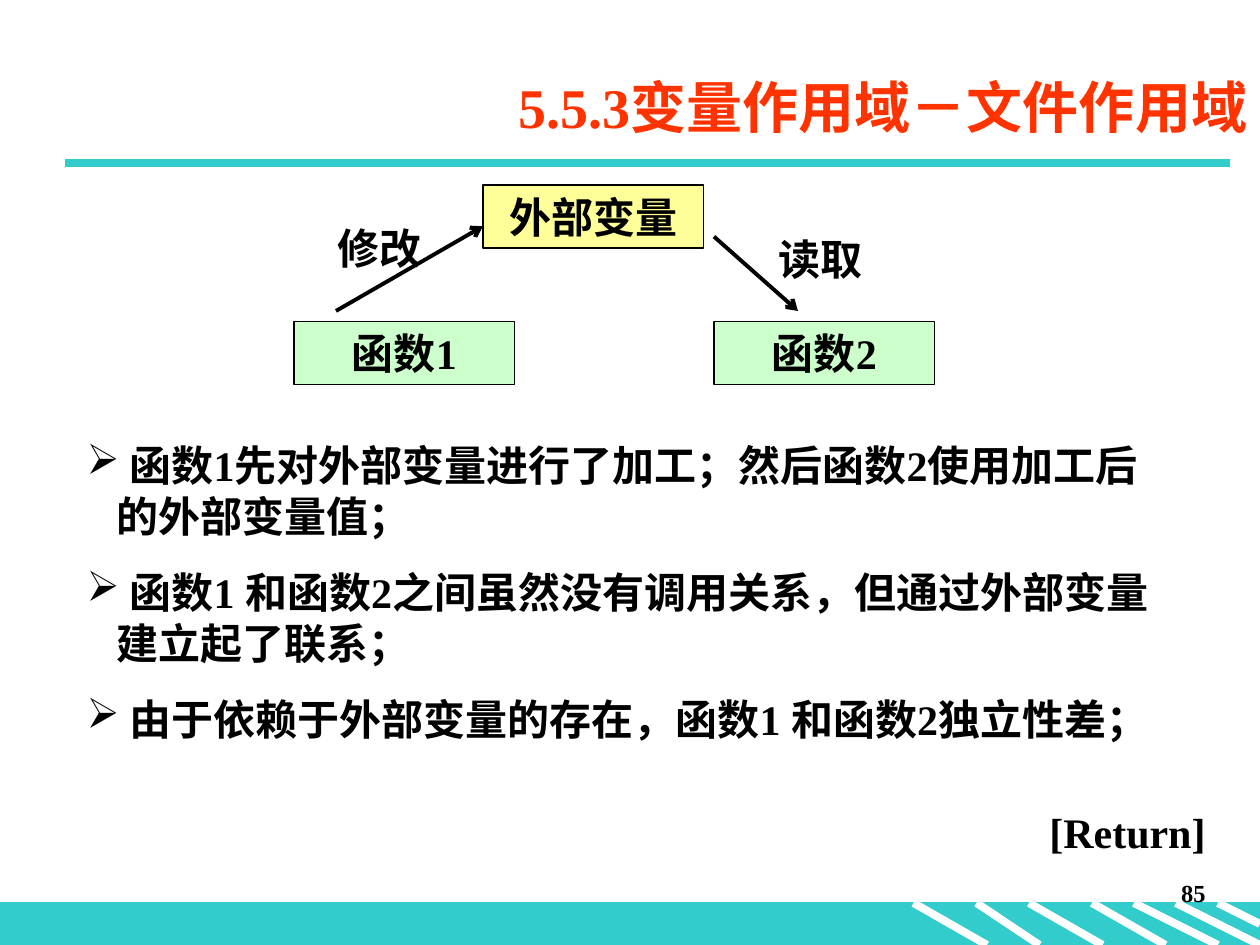
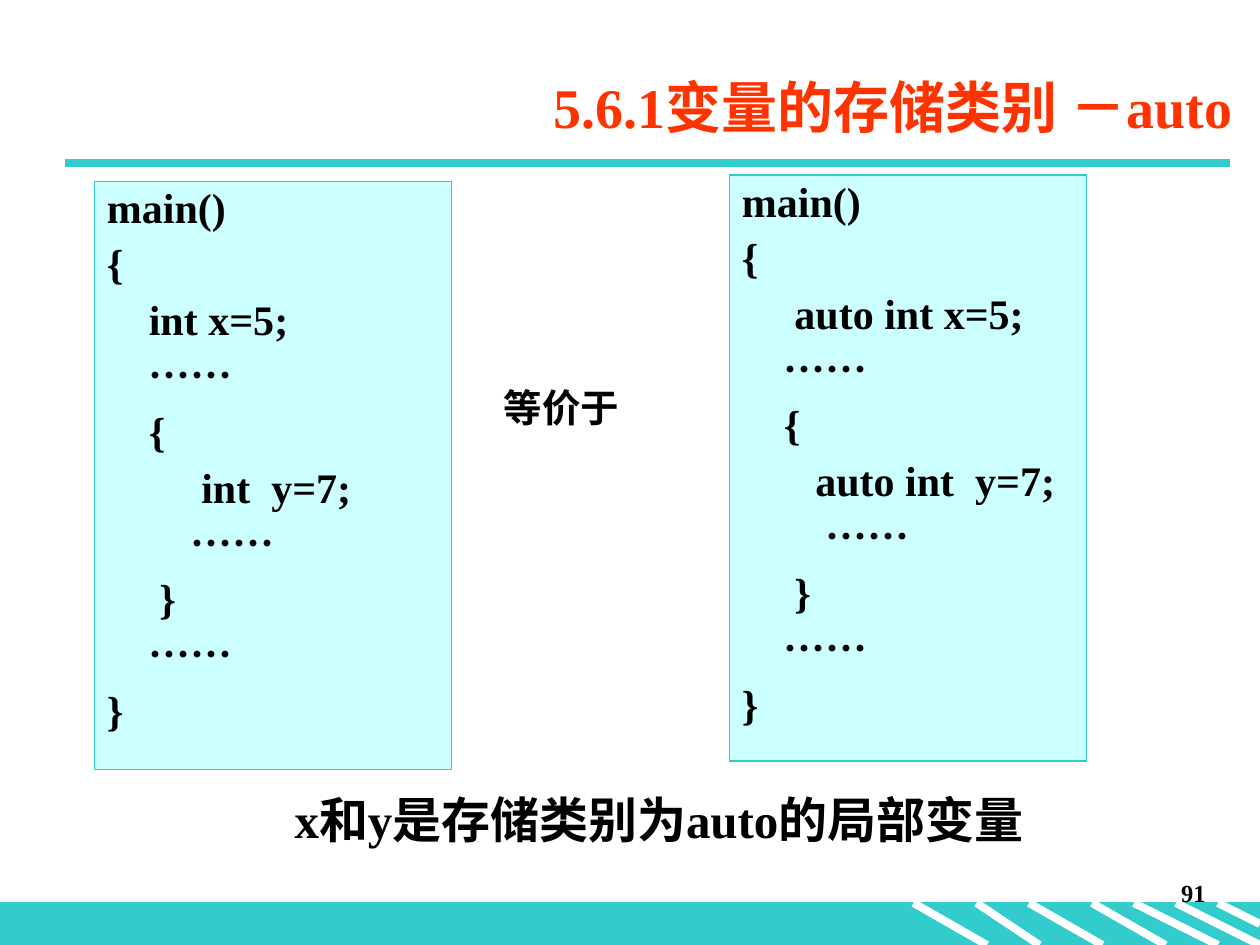
"""Build two lecture slides on variable scope and storage classes."""
from collections import namedtuple

from lxml.etree import SubElement
from pptx import Presentation
from pptx.dml.color import RGBColor
from pptx.enum.shapes import MSO_CONNECTOR as Connector, MSO_SHAPE as Preset
from pptx.enum.text import MSO_ANCHOR as Anchor, PP_ALIGN as Align
from pptx.oxml.ns import qn
from pptx.util import Pt

Box = namedtuple("Box", "left top width height")

TEAL, WHITE, BLACK, TITLE_RED = "33CCCC", "FFFFFF", "000000", "FF3300"
GREEN, YELLOW, CYAN = "CCFFCC", "FFFF99", "CCFFFF"
LATIN, CHINESE = "Times New Roman", "Noto Sans CJK SC"
PAGE = Box(0, 0, 720, 540)
STRIPES = [(522, 42, 24), (558, 36, 24), (588, 42, 24), (624, 42, 24),
           (648, 48, 24), (672, 48, 24), (696, 24, 12)]


def rgb(color):
    """Turn a hex string into a colour."""
    return RGBColor.from_string(color)


def within(box, left, top, width, height):
    """Return a box placed relative to another one."""
    return Box(box.left + left, box.top + top, width, height)


def add_panel(slide, box, fill, line):
    """Add a filled rectangle with a thin outline."""
    panel = slide.shapes.add_shape(Preset.RECTANGLE, *map(Pt, box))
    panel.shadow.inherit = False
    panel.fill.solid()
    panel.fill.fore_color.rgb = rgb(fill)
    panel.line.color.rgb = rgb(line)
    panel.line.width = Pt(0.75)
    return panel


def add_line(slide, start, end, color, width, arrow=False):
    """Add a straight line, with an open arrowhead at its end if asked."""
    line = slide.shapes.add_connector(Connector.STRAIGHT, *map(Pt, start + end))
    line.line.color.rgb = rgb(color)
    line.line.width = Pt(width)
    properties = line.element.spPr
    if arrow:
        SubElement(properties.find(qn("a:ln")), qn("a:tailEnd"), type="arrow")
    SubElement(properties, qn("a:effectLst"))


def add_run(paragraph, words, size, color, latin=LATIN):
    """Add one bold run of text."""
    run = paragraph.add_run()
    run.text = words
    run.font.size = Pt(size)
    run.font.bold = True
    run.font.color.rgb = rgb(color)
    run.font.name = latin
    SubElement(run.font._element, qn("a:ea"), typeface=CHINESE)


def write(shape, lines, size=24, color=BLACK, align=Align.LEFT, anchor=Anchor.TOP,
          gap=0, spacing=None, hanging=0, bullet=None, wrap=True):
    """Fill a shape with paragraphs, each a list of (words, font) runs."""
    frame = shape.text_frame
    frame.word_wrap = wrap
    frame.vertical_anchor = anchor
    for index, runs in enumerate(lines):
        paragraph = frame.add_paragraph() if index else frame.paragraphs[0]
        properties = paragraph._p.get_or_add_pPr()
        if hanging:
            properties.set("marL", str(Pt(hanging)))
            properties.set("indent", str(-Pt(hanging)))
        if bullet:
            tint = SubElement(properties, qn("a:buClr"))
            SubElement(tint, qn("a:srgbClr"), val=color)
            SubElement(properties, qn("a:buChar"), char=bullet)
        paragraph.alignment = align
        paragraph.space_before = Pt(gap if index else 0)
        if spacing:
            paragraph.line_spacing = spacing
        for words, latin in runs:
            add_run(paragraph, words, size, color, latin)


def add_text(slide, box, *lines, **style):
    """Add a text box with one paragraph for each string."""
    label = slide.shapes.add_textbox(*map(Pt, box))
    write(label, [[(words, LATIN)] for words in lines], **style)


def footer(slide, box, number):
    """Draw the striped band and the page number above it."""
    add_panel(slide, box, TEAL, TEAL)
    for left, run, drop in STRIPES:
        start = (box.left + left, box.top)
        add_line(slide, start, (start[0] + run, start[1] + drop), WHITE, 4.5)
    add_text(slide, within(box, 546, -18, 150, 36), str(number), size=14, align=Align.RIGHT)


def header(slide, box, title):
    """Write the title at the right and draw the rule under it."""
    add_line(slide, (36.9, 92.9), (702.9, 92.9), TEAL, 4.5)
    add_text(slide, box, title, size=32, color=TITLE_RED, align=Align.RIGHT,
             anchor=Anchor.MIDDLE)


def new_slide(deck, title, title_left, number):
    """Add a blank slide with its shared header and footer."""
    slide = deck.slides.add_slide(deck.slide_layouts[6])
    footer(slide, within(PAGE, 0, 516, PAGE.width, 24), number)
    header(slide, within(PAGE, title_left, 32, 612, 57), title)
    return slide


def sharing_diagram(slide, box):
    """Show two functions sharing one external variable."""
    for left, top, name, fill in [(0, 78, "函数1", GREEN), (240, 78, "函数2", GREEN),
                                  (108, 0, "外部变量", YELLOW)]:
        node = add_panel(slide, within(box, left, top, 126, 36), fill, BLACK)
        write(node, [[(name, LATIN)]], align=Align.CENTER)
    for start, end in [((24, 72), (108, 23.6)), ((240, 29.5), (288, 72))]:
        add_line(slide, (box.left + start[0], box.top + start[1]),
                 (box.left + end[0], box.top + end[1]), BLACK, 2.25, arrow=True)
    for left, top, action in [(18, 18, "修改"), (270, 24, "读取")]:
        add_text(slide, within(box, left, top, 90, 36), action)


def code_panel(slide, box, x_line, y_line):
    """List a program whose two declarations are given."""
    dots = "……"
    code = ["main()", "{", x_line, "    " + dots, "    {", y_line,
            "        " + dots, "     }", "    " + dots, "}"]
    lines = []
    for line in code:
        if line.endswith(dots):
            lines.append([(line.removesuffix(dots), LATIN), (dots, CHINESE)])
        else:
            lines.append([(line, LATIN)])
    write(add_panel(slide, box, CYAN, TEAL), lines, gap=6, spacing=0.9, hanging=27)


def file_scope_slide(deck):
    """Build the slide on file scope."""
    slide = new_slide(deck, "5.5.3变量作用域－文件作用域", 108, 85)
    sharing_diagram(slide, within(PAGE, 168, 105.7, 366, 114))
    add_text(slide, within(PAGE, 42.5, 247.7, 629, 181.5),
             " 函数1先对外部变量进行了加工；然后函数2使用加工后的外部变量值；",
             " 函数1 和函数2之间虽然没有调用关系，但通过外部变量建立起了联系；",
             " 由于依赖于外部变量的存在，函数1 和函数2独立性差；",
             gap=15, hanging=17, bullet="➢")
    add_text(slide, within(PAGE, 592.6, 457.2, 103.7, 36), "[Return]", wrap=False)


def auto_storage_slide(deck):
    """Build the slide on the auto storage class."""
    slide = new_slide(deck, "5.6.1变量的存储类别 －auto", 99.4, 91)
    code_panel(slide, within(PAGE, 54, 103.7, 204, 336),
               "    int x=5;", "         int  y=7;")
    code_panel(slide, within(PAGE, 416.9, 100, 204, 334.8),
               "     auto int x=5;", "       auto int  y=7;")
    add_text(slide, within(PAGE, 280.8, 218.9, 113, 31), "等价于",
             size=22, spacing=0.9, hanging=27)
    add_text(slide, within(PAGE, 161.3, 451.4, 476, 37.4),
             "x和y是存储类别为auto的局部变量", size=28, spacing=0.9, hanging=27)


def main():
    """Build and save the deck."""
    deck = Presentation()
    deck.slide_width, deck.slide_height = Pt(PAGE.width), Pt(PAGE.height)
    file_scope_slide(deck)
    auto_storage_slide(deck)
    deck.save("out.pptx")


if __name__ == "__main__":
    main()
